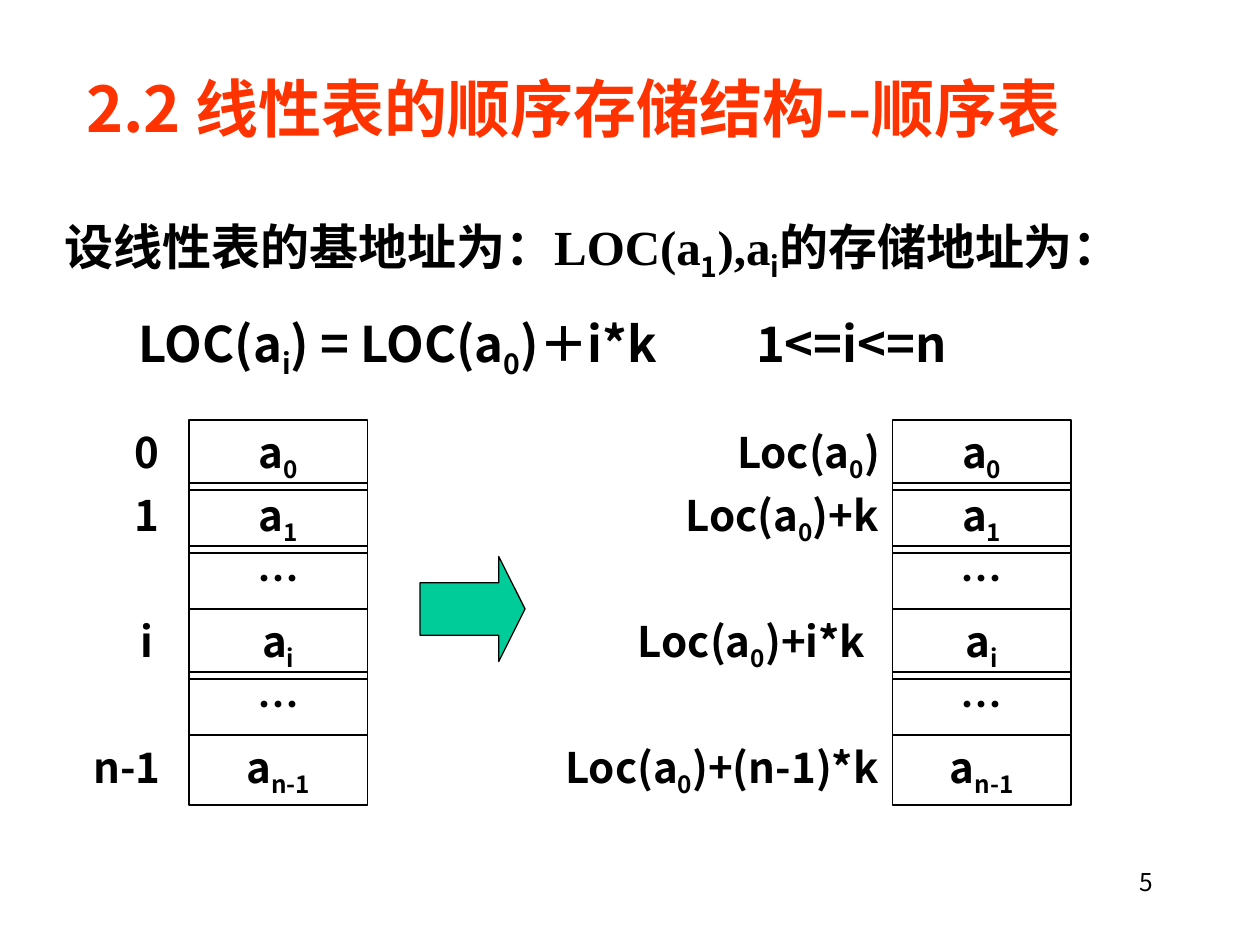
"""Build the slide on the sequential storage of a linear list."""
from lxml import etree
from pptx import Presentation
from pptx.dml.color import RGBColor
from pptx.enum.shapes import MSO_SHAPE
from pptx.enum.text import MSO_ANCHOR, MSO_AUTO_SIZE, PP_ALIGN
from pptx.oxml.ns import qn
from pptx.util import Pt

LEFT, MID, RIGHT = PP_ALIGN.LEFT, PP_ALIGN.CENTER, PP_ALIGN.RIGHT
RECT, ARROW = MSO_SHAPE.RECTANGLE, MSO_SHAPE.RIGHT_ARROW
SC, JP, TIMES = "Noto Sans CJK SC", "Noto Sans CJK JP", "Times New Roman"
COLORS = {"title": "FF3300", "ink": "000000", "arrow": "00CC99"}
FRAME = {"auto_size": MSO_AUTO_SIZE.NONE, "vertical_anchor": MSO_ANCHOR.TOP,
         "margin_left": Pt(7.2), "margin_right": Pt(7.2),
         "margin_top": Pt(3.6), "margin_bottom": Pt(3.6)}


def write(par, text, size, font=JP, sub=JP, align=MID, color="ink", bold=True):
    """Write text whose parts between bars are subscripts."""
    par.alignment = align
    for num, part in enumerate(text.split("|")):
        if not part:
            continue
        run = par.add_run()
        run.text = part
        low = num % 2 == 1
        look = {"size": Pt(size), "bold": bold, "name": sub if low else font}
        for key, val in look.items():
            setattr(run.font, key, val)
        run.font.color.rgb = RGBColor.from_string(COLORS[color])
        props = run._r.get_or_add_rPr()
        etree.SubElement(props, qn("a:ea")).set("typeface", SC if SC in (font, sub) else JP)
        if low:
            props.set("baseline", "-25000")


def setup(shape, box, wrap=True):
    """Place a shape, format its text frame and return its first paragraph."""
    for key, val in zip(("left", "top", "width", "height"), box):
        setattr(shape, key, Pt(val))
    frame = shape.text_frame
    for key, val in FRAME.items():
        setattr(frame, key, val)
    frame.word_wrap = wrap
    return frame.paragraphs[0]


deck = Presentation()
deck.slide_width, deck.slide_height = Pt(720), Pt(540)
slide = deck.slides.add_slide(deck.slide_layouts[5])
shapes = slide.shapes

par = setup(shapes.title, (42, 36, 654, 50))
write(par, "2.2 线性表的顺序存储结构--顺序表", 36, SC, SC, LEFT, "title")

body = shapes.add_textbox(0, 0, 0, 0)
par = setup(body, (30, 120, 666, 102))
write(par, "设线性表的基地址为：LOC(a|1|),a|i|的存储地址为：", 28, TIMES, SC, LEFT)
par = body.text_frame.add_paragraph()
par.space_before = Pt(17.5)
write(par, "\tLOC(a|i|) = LOC(a|0|)＋i*k\t1<=i<=n", 28, SC, SC, LEFT)
tabs = etree.SubElement(par._p.get_or_add_pPr(), qn("a:tabLst"))
for stop in (42, 395):
    etree.SubElement(tabs, qn("a:tab"), pos=str(Pt(stop)), algn="l")

TOP, STEP, WIDE = 240, 36, 102
cells = ["a|0|", "a|1|", "…", "a|i|", "…", "a|n-1|"]
for left in (108, 510):
    for row, text in enumerate(cells):
        cell = shapes.add_shape(RECT, 0, 0, 0, 0)
        cell.shadow.inherit = False
        cell.fill.background()
        cell.line.color.rgb = RGBColor.from_string(COLORS["ink"])
        cell.line.width = Pt(0.75)
        tall = 36 if text == "…" else 40
        write(setup(cell, (left, TOP + row * STEP, WIDE, tall)), text, 24)

labels = [
    (108, 0, 48, "0"), (108, 1, 48, "1"), (108, 3, 48, "i"), (108, 5, 71, "n-1"),
    (510, 0, 96, "Loc(a|0|)"), (510, 1, 126, "Loc(a|0|)+k"),
    (510, 3, 161, "Loc(a|0|)+i*k"), (510, 5, 195, "Loc(a|0|)+(n-1)*k"),
]
for edge, row, wide, text in labels:
    label = shapes.add_textbox(0, 0, 0, 0)
    box = (edge - wide, TOP + row * STEP, wide, 40)
    write(setup(label, box, False), text, 24)

arrow = shapes.add_shape(ARROW, Pt(240), Pt(318), Pt(60), Pt(60))
arrow.adjustments[0], arrow.adjustments[1] = 0.5, 0.25
arrow.shadow.inherit = False
arrow.fill.solid()
arrow.fill.fore_color.rgb = RGBColor.from_string(COLORS["arrow"])
arrow.line.color.rgb = RGBColor.from_string(COLORS["ink"])
arrow.line.width = Pt(0.75)

page = shapes.add_textbox(0, 0, 0, 0)
write(setup(page, (516, 492, 150, 36)), "5", 14, align=RIGHT, bold=False)

deck.save("out.pptx")
